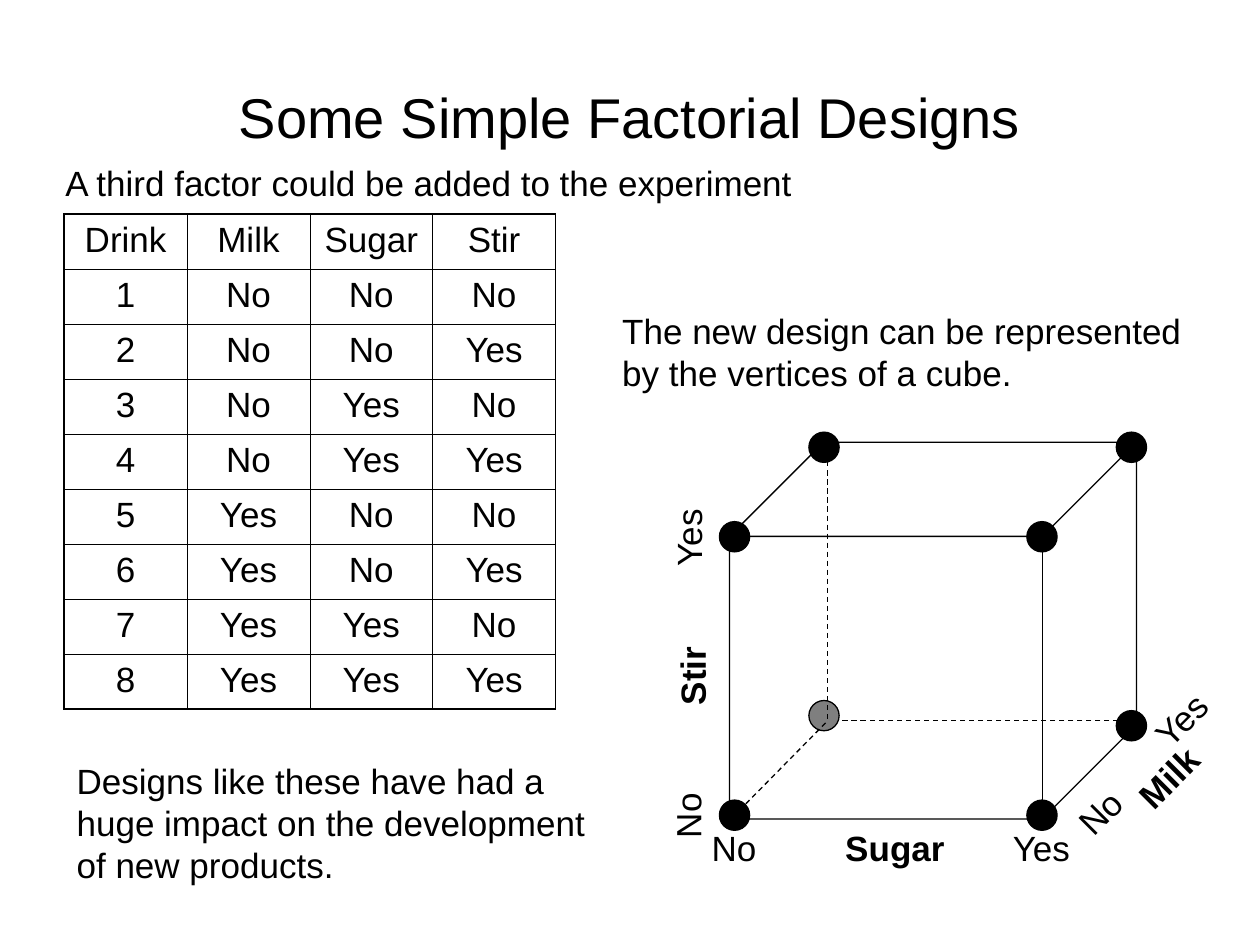
import itertools

import pptx
import pptx.dml.color
import pptx.enum.dml
import pptx.enum.shapes
import pptx.enum.text
import pptx.oxml
import pptx.oxml.ns
import pptx.util
from pptx.util import Inches, Pt

BLACK = "000000"
ALIGN = pptx.enum.text.PP_ALIGN
ANCHOR = pptx.enum.text.MSO_ANCHOR
AUTO_SIZE = pptx.enum.text.MSO_AUTO_SIZE
SHAPE = pptx.enum.shapes.MSO_SHAPE

# text, (left, top, width, height), format
TEXTS = [
    ("Some Simple Factorial Designs", (0.5, 0.3, 9, 1.25),
     {"size": 32, "align": ALIGN.CENTER, "anchor": ANCHOR.MIDDLE,
      "fit": AUTO_SIZE.NONE}),
    ("A third factor could be added to the experiment",
     (0.42, 1.23, 5.98, 0.44), {"wrap": False}),
    ("The new design can be represented by the vertices of a cube.",
     (4.84, 2.41, 4.73, 0.77), {}),
    ("Designs like these have had a huge impact on the development "
     "of new products.", (0.51, 5.98, 4.33, 1.1), {}),
]

# text, left, top, width, rotation, bold
AXIS_LABELS = [
    ("No", 5.55, 6.51, 0.58, 0, False),
    ("Sugar", 6.61, 6.51, 1.02, 0, True),
    ("Yes", 7.94, 6.51, 0.71, 0, False),
    ("No", 5.17, 6.24, 0.58, 270, False),
    ("Stir", 5.15, 5.13, 0.69, 270, True),
    ("Yes", 5.11, 4.02, 0.71, 270, False),
    ("No", 8.45, 6.22, 0.58, 315, False),
    ("Milk", 8.9, 5.94, 0.77, 315, True),
    ("Yes", 9.04, 5.47, 0.71, 315, False),
]

FACTORS = ["Milk", "Sugar", "Stir"]
TABLE_AREA = (0.51, 1.7, 3.9, 3.93)
THIN, THICK = 0.45, 1.08

CUBE_AREA = (5.79, 3.51, 3.23, 2.99)
DOT_SIZE = 0.24
DOT_X, DOT_Y = (5.71, 8.15), (4.14, 6.35)
DEPTH = 0.71
HIDDEN_DOT = (6.42, 5.56)
HIDDEN_CORNER = (6.57, 5.72)
HIDDEN_EDGES = [
    ((5.87, 6.43), HIDDEN_CORNER),
    ((6.57, 3.59), HIDDEN_CORNER),
    ((9.02, 5.72), (6.65, 5.72)),
]


def color(value):
    return pptx.dml.color.RGBColor.from_string(value)


def inches(values):
    return [Inches(value) for value in values]


def write(frame, text, size=20, bold=False, align=ALIGN.LEFT):
    para = frame.paragraphs[0]
    para.alignment = align
    span = para.add_run()
    span.text = text
    formats = {"name": "Arial", "size": Pt(size), "bold": bold}
    for name, value in formats.items():
        setattr(span.font, name, value)
    span.font.color.rgb = color(BLACK)


def add_text(page, text, area, wrap=True, anchor=ANCHOR.TOP,
             fit=AUTO_SIZE.SHAPE_TO_FIT_TEXT, rotation=0, **formats):
    box = page.shapes.add_textbox(*inches(area))
    box.rotation = rotation
    layout = {"word_wrap": wrap, "vertical_anchor": anchor, "auto_size": fit}
    for name, value in layout.items():
        setattr(box.text_frame, name, value)
    write(box.text_frame, text, **formats)


def set_border(cell, side, width):
    """Draw one cell side, named L, R, T or B."""
    props = cell._tc.get_or_add_tcPr()
    border = pptx.oxml.parse_xml(
        f'<a:ln{side} {pptx.oxml.ns.nsdecls("a")} w="{int(Pt(width))}">'
        f'<a:solidFill><a:srgbClr val="{BLACK}"/></a:solidFill></a:ln{side}>')
    props.insert(len(props) - 1, border)


def add_design_table(page):
    runs = itertools.product(["No", "Yes"], repeat=len(FACTORS))
    rows = [["Drink", *FACTORS]]
    rows += [[str(number), *run] for number, run in enumerate(runs, 1)]
    last_row, last_column = len(rows) - 1, len(FACTORS)
    frame = page.shapes.add_table(len(rows), last_column + 1, *inches(TABLE_AREA))
    table = frame.table
    table.first_row = table.horz_banding = False
    for r, row in enumerate(rows):
        for c, text in enumerate(row):
            cell = table.cell(r, c)
            cell.fill.background()
            write(cell.text_frame, text, align=ALIGN.CENTER)
            outer = {"L": c == 0, "R": c == last_column,
                     "T": r == 0, "B": r == last_row}
            for side, is_outer in outer.items():
                set_border(cell, side, THICK if is_outer else THIN)


def outline(shape):
    shape.line.color.rgb = color(BLACK)
    shape.line.width = Pt(0.75)


def add_cube(page):
    cube = page.shapes.add_shape(SHAPE.CUBE, *inches(CUBE_AREA))
    cube.shadow.inherit = False
    cube.adjustments[0] = 0.25
    cube.fill.background()
    outline(cube)


def add_dot(page, left, top, opacity=100):
    dot = page.shapes.add_shape(
        SHAPE.OVAL, *inches((left, top, DOT_SIZE, DOT_SIZE)))
    dot.shadow.inherit = False
    dot.fill.solid()
    dot.fill.fore_color.rgb = color(BLACK)
    outline(dot)
    if opacity < 100:
        fill = dot._element.spPr.find(pptx.oxml.ns.qn("a:solidFill"))
        fill[0].append(pptx.oxml.parse_xml(
            f'<a:alpha {pptx.oxml.ns.nsdecls("a")} val="{opacity * 1000}"/>'))


def add_hidden_edge(page, start, end):
    edge = page.shapes.add_connector(
        pptx.enum.shapes.MSO_CONNECTOR.STRAIGHT, *inches(start + end))
    outline(edge)
    edge.line.dash_style = pptx.enum.dml.MSO_LINE.DASH
    edge._element.spPr.append(pptx.oxml.parse_xml(
        f'<a:effectLst {pptx.oxml.ns.nsdecls("a")}/>'))


def main():
    deck = pptx.Presentation()
    deck.slide_width, deck.slide_height = Inches(10), Inches(7.5)
    page = deck.slides.add_slide(deck.slide_layouts[6])

    for text, area, formats in TEXTS:
        add_text(page, text, area, **formats)
    add_design_table(page)

    add_cube(page)
    for x, y, depth in itertools.product(DOT_X, DOT_Y, (0, DEPTH)):
        is_hidden = (x, y, depth) == (DOT_X[0], DOT_Y[1], DEPTH)
        if not is_hidden:
            add_dot(page, x + depth, y - depth)
    add_dot(page, *HIDDEN_DOT, opacity=50)
    for start, end in HIDDEN_EDGES:
        add_hidden_edge(page, start, end)
    for text, left, top, width, rotation, bold in AXIS_LABELS:
        add_text(page, text, (left, top, width, 0.44), wrap=False,
                 rotation=rotation, bold=bold)

    deck.save("out.pptx")


if __name__ == "__main__":
    main()
